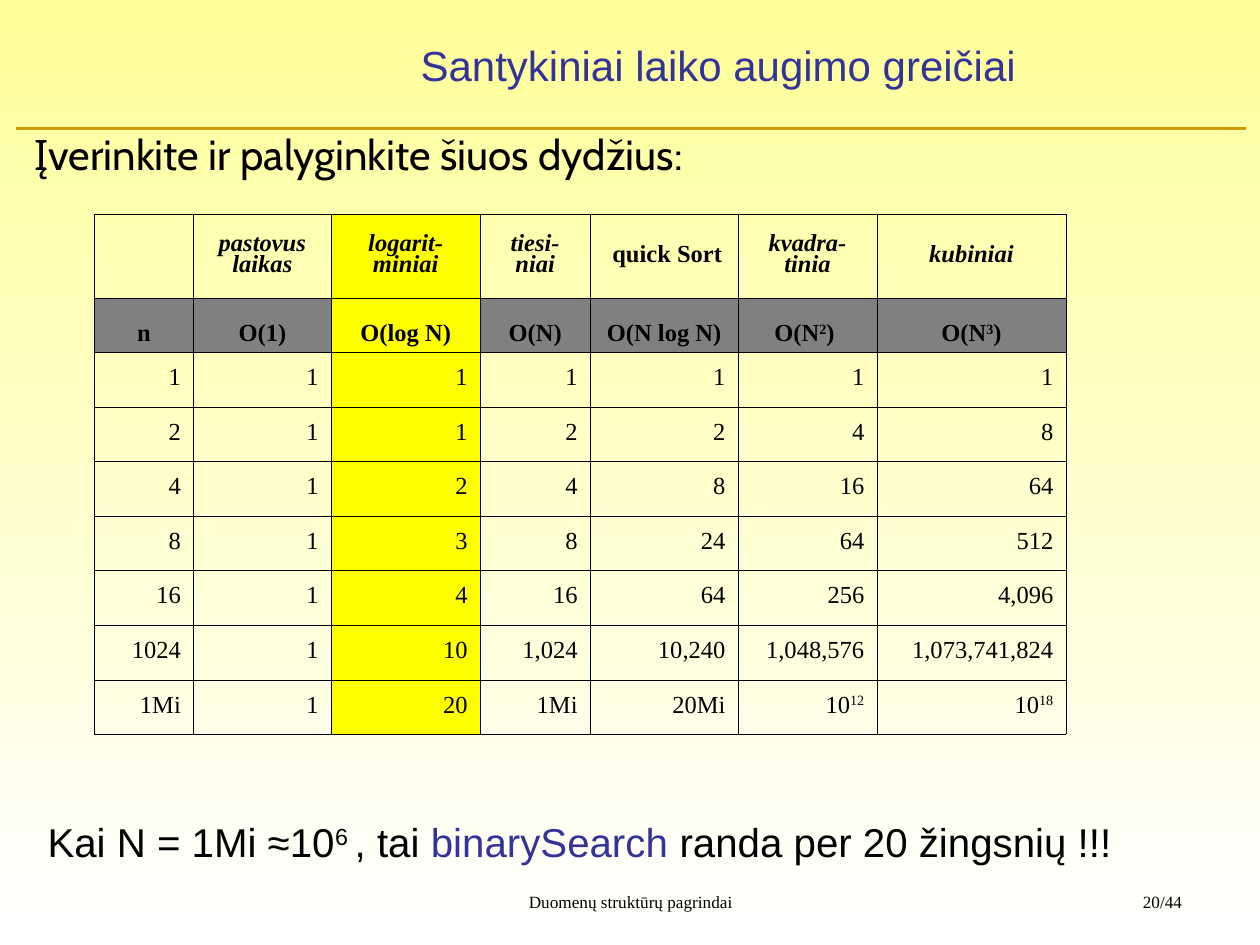
from dataclasses import dataclass

from lxml.etree import SubElement
from pptx import Presentation
from pptx.dml.color import RGBColor
from pptx.enum.shapes import MSO_CONNECTOR
from pptx.enum.text import MSO_ANCHOR as Anchor, MSO_AUTO_SIZE as AutoSize, PP_ALIGN as Align
from pptx.oxml import parse_xml
from pptx.oxml.ns import nsdecls, qn
from pptx.slide import Slide
from pptx.table import _Cell as Cell
from pptx.text.text import TextFrame, _Paragraph as Paragraph
from pptx.util import Cm, Pt


@dataclass(frozen=True)
class Theme:
    """Colours, fonts and type sizes of the slide."""
    top: str = "FFFF99"
    bottom: str = "FFFFFF"
    ink: str = "000000"
    accent: str = "333399"
    rule: str = "CC9900"
    highlight: str = "FFFF00"
    band: str = "808080"
    sans: str = "Arial"
    serif: str = "Times New Roman"
    body: str = "Cabin"
    heading_size: float = 24
    closing_size: float = 23
    table_size: float = 14
    footer_size: float = 9.8


@dataclass(frozen=True)
class Box:
    """Position and size in centimetres."""
    left: float
    top: float
    width: float
    height: float

    def lengths(self) -> tuple:
        """Return the four values as lengths."""
        return Cm(self.left), Cm(self.top), Cm(self.width), Cm(self.height)


@dataclass(frozen=True)
class Growth:
    """One column: label, order of growth, values and width in centimetres."""
    label: str
    order: str
    values: tuple[str, ...]
    width: float
    highlighted: bool = False
    italic: bool = True


@dataclass(frozen=True)
class FooterItem:
    """A short line at the foot of the slide."""
    text: str
    box: Box
    align: Align


THEME = Theme()
TABLE_BOX = Box(1.9, 4.32, 19.59, 10.48)
LABEL_HEIGHT, ROW_HEIGHT = 1.68, 1.1
COLUMNS = (
    Growth("", "n", ("1", "2", "4", "8", "16", "1024", "1Mi"), 2.0),
    Growth("pastovus laikas", "O(1)", ("1",) * 7, 2.78),
    Growth("logarit- miniai", "O(log N)", ("1", "1", "2", "3", "4", "10", "20"), 3.0, highlighted=True),
    Growth("tiesi- niai", "O(N)", ("1", "2", "4", "8", "16", "1,024", "1Mi"), 2.22),
    Growth(" quick Sort", "O(N log N)", ("1", "2", "8", "24", "64", "10,240", "20Mi"), 2.98, italic=False),
    Growth("kvadra- tinia", "O(N^2^) ", ("1", "4", "16", "64", "256", "1,048,576", "10^12^"), 2.8),
    Growth("kubiniai", "O(N^3^)", ("1", "8", "64", "512", "4,096", "1,073,741,824", "10^18^"), 3.81),
)
FOOTER = (
    FooterItem("Duomenų struktūrų pagrindai", Box(8.69, 17.93, 8.0, 0.69), Align.CENTER),
    FooterItem("20/44", Box(18.21, 17.93, 5.87, 0.69), Align.RIGHT),
)


def write(paragraph: Paragraph, text: str, *, font: str, size: float, color: str = THEME.ink,
          bold: bool = False, italic: bool = False, align: Align = Align.LEFT, spacing: float = 1.0) -> None:
    """Append text to a paragraph, raising the parts set between carets."""
    paragraph.alignment = align
    paragraph.line_spacing = spacing
    paragraph.space_before = Pt(0)
    for position, part in enumerate(text.split("^")):
        if not part:
            continue
        run = paragraph.add_run()
        run.text = part
        run.font.name, run.font.size = font, Pt(size)
        run.font.bold, run.font.italic = bold, italic
        run.font.color.rgb = RGBColor.from_string(color)
        if position % 2:
            run._r.get_or_add_rPr().set("baseline", "30000")


def hang(paragraph: Paragraph, margin: float, indent: float) -> None:
    """Give a paragraph a hanging indent and no bullet."""
    properties = paragraph._p.get_or_add_pPr()
    properties.set("marL", str(Cm(margin)))
    properties.set("indent", str(Cm(indent)))
    SubElement(properties, qn("a:buNone"))


def place(placeholder, box: Box) -> TextFrame:
    """Move a placeholder and return its text frame without autofit."""
    placeholder.left, placeholder.top, placeholder.width, placeholder.height = box.lengths()
    placeholder.text_frame.auto_size = AutoSize.NONE
    return placeholder.text_frame


def paint_background(slide: Slide) -> None:
    """Fill the background with a gradient running downwards."""
    fill = slide.background.fill
    fill.gradient()
    fill.gradient_angle = 270
    for stop, color in zip(fill.gradient_stops, (THEME.top, THEME.bottom)):
        stop.color.rgb = RGBColor.from_string(color)


def draw_heading(slide: Slide) -> None:
    """Write the title and draw the rule below it."""
    frame = place(slide.shapes.title, Box(6.3, 0.53, 16.36, 1.55))
    frame.vertical_anchor = Anchor.MIDDLE
    write(frame.paragraphs[0], "Santykiniai laiko augimo greičiai", font=THEME.sans,
          size=THEME.heading_size, color=THEME.accent, align=Align.CENTER)
    rule = slide.shapes.add_connector(MSO_CONNECTOR.STRAIGHT, Cm(0.33), Cm(2.59), Cm(25.12), Cm(2.59))
    rule.line.color.rgb = RGBColor.from_string(THEME.rule)
    rule.line.width = Pt(1.5)
    SubElement(rule._element.spPr, qn("a:effectLst"))


def draw_footer(slide: Slide, item: FooterItem) -> None:
    """Add one footer line."""
    frame = slide.shapes.add_textbox(*item.box.lengths()).text_frame
    frame.word_wrap = True
    write(frame.paragraphs[0], item.text, font=THEME.serif, size=THEME.footer_size,
          align=item.align, spacing=0.8)
    hang(frame.paragraphs[0], 0.61, -0.56)


def style_cell(cell: Cell, color: str | None) -> None:
    """Set the fill and the hairline borders of a cell."""
    if color:
        cell.fill.solid()
        cell.fill.fore_color.rgb = RGBColor.from_string(color)
    else:
        cell.fill.background()
    properties = cell._tc.get_or_add_tcPr()
    for position, side in enumerate(("lnL", "lnR", "lnT", "lnB")):
        properties.insert(position, parse_xml(
            f'<a:{side} {nsdecls("a")} w="{Pt(0.06)}"><a:solidFill>'
            f'<a:srgbClr val="{THEME.ink}"/></a:solidFill></a:{side}>'))


def draw_table(slide: Slide) -> None:
    """Build the table of growth rates column by column."""
    row_count = 2 + len(COLUMNS[0].values)
    table = slide.shapes.add_table(row_count, len(COLUMNS), *TABLE_BOX.lengths()).table
    table.first_row = table.horz_banding = False
    for index, row in enumerate(table.rows):
        row.height = Cm(ROW_HEIGHT if index else LABEL_HEIGHT)
    for column_index, growth in enumerate(COLUMNS):
        table.columns[column_index].width = Cm(growth.width)
        for row_index, text in enumerate((growth.label, growth.order, *growth.values)):
            cell = table.cell(row_index, column_index)
            is_order, is_head = row_index == 1, row_index < 2
            cell.vertical_anchor = Anchor.BOTTOM if is_order else Anchor.MIDDLE
            write(cell.text_frame.paragraphs[0], text, font=THEME.serif, size=THEME.table_size,
                  bold=is_head, italic=row_index == 0 and growth.italic,
                  align=Align.CENTER if is_head else Align.RIGHT, spacing=0.76)
            style_cell(cell, THEME.highlight if growth.highlighted else THEME.band if is_order else None)


def draw_closing(slide: Slide) -> None:
    """Write the conclusion below the table."""
    frame = slide.shapes.add_textbox(*Box(0.69, 16.36, 22.0, 1.24).lengths()).text_frame
    frame.word_wrap = False
    frame.auto_size = AutoSize.SHAPE_TO_FIT_TEXT
    for text, color in (("Kai N = 1Mi ≈10^6 ^, tai ", THEME.ink), ("binarySearch", THEME.accent),
                        (" randa per 20 žingsnių !!!", THEME.ink)):
        write(frame.paragraphs[0], text, font=THEME.sans, size=THEME.closing_size,
              color=color, align=Align.CENTER)


def draw_task(slide: Slide) -> None:
    """Write the task in the body placeholder and bring it to the front."""
    body = slide.placeholders[1]
    frame = place(body, Box(0.69, 2.59, 23.95, 15.06))
    frame.margin_left = frame.margin_top = frame.margin_right = frame.margin_bottom = 0
    write(frame.paragraphs[0], "Įverinkite ir palyginkite šiuos dydžius:",
          font=THEME.body, size=THEME.heading_size)
    hang(frame.paragraphs[0], 0.97, -0.97)
    slide.shapes._spTree.append(body._element)


def main() -> None:
    """Build and save the slide."""
    deck = Presentation()
    deck.slide_width, deck.slide_height = Cm(25.4), Cm(19.05)
    slide = deck.slides.add_slide(deck.slide_layouts[1])
    paint_background(slide)
    draw_heading(slide)
    for item in FOOTER:
        draw_footer(slide, item)
    draw_table(slide)
    draw_closing(slide)
    draw_task(slide)
    deck.save("out.pptx")


if __name__ == "__main__":
    main()
